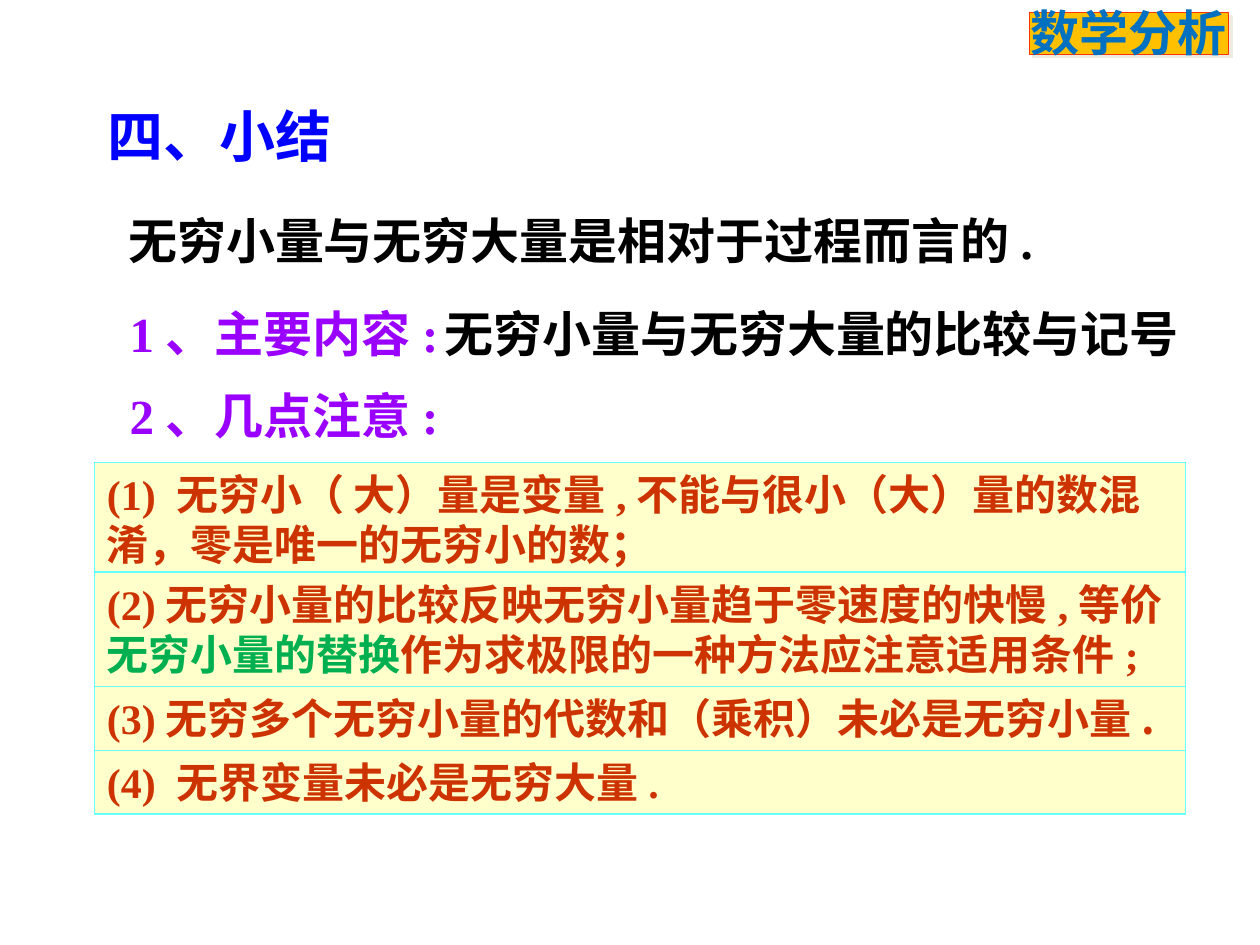
from lxml.etree import SubElement
from pptx import Presentation
from pptx.dml.color import RGBColor
from pptx.enum.shapes import MSO_SHAPE as Shape
from pptx.enum.text import MSO_ANCHOR as Anchor, PP_ALIGN as Align
from pptx.oxml.ns import qn
from pptx.util import Pt

SERIF = "Times New Roman"
CHINESE = "Noto Sans CJK SC"
PURPLE, BLACK, RUST, GREEN = "9900FF", "000000", "CC3300", "00B050"


def color(hex_string):
    return RGBColor.from_string(hex_string)


def write(shape, text, size=28, fill=BLACK, font=SERIF, anchor=Anchor.TOP):
    """Fill a shape with one paragraph; text is a string or (text, format) runs."""
    frame = shape.text_frame
    frame.word_wrap = True
    frame.vertical_anchor = anchor
    frame.margin_left = frame.margin_right = Pt(7.2)
    frame.margin_top = frame.margin_bottom = Pt(3.6)
    paragraph = frame.paragraphs[0]
    paragraph.alignment = Align.LEFT
    for words, changes in [(text, {})] if isinstance(text, str) else text:
        run = paragraph.add_run()
        run.text = words
        run.font.size = Pt(size)
        run.font.bold = True
        run.font.name = changes.get("font", font)
        run.font.color.rgb = color(changes.get("fill", fill))
        SubElement(run.font._element, qn("a:ea"), typeface=CHINESE)


presentation = Presentation()
presentation.slide_width, presentation.slide_height = Pt(720), Pt(540)
slide = presentation.slides.add_slide(presentation.slide_layouts[5])
shapes = slide.shapes

# Course badge with a hard offset shadow
badge = shapes.add_shape(Shape.RECTANGLE, Pt(588.2), Pt(7.2), Pt(113.8), Pt(23.8))
badge.fill.solid()
badge.fill.fore_color.rgb = color("FFC000")
badge.line.color.rgb = color("FF3300")
badge.line.width = Pt(0.75)
badge.shadow.inherit = False
effects = badge._element.spPr.find(qn("a:effectLst"))
shadow = SubElement(effects, qn("a:outerShdw"), dist=str(Pt(2.8)), dir="2700000",
                    algn="ctr", rotWithShape="0")
SubElement(shadow, qn("a:srgbClr"), val="EEECE1")
badge_label = shapes.add_textbox(Pt(581.8), Pt(-2.2), Pt(144), Pt(41))
write(badge_label, "数学分析", fill="0070C0", font="Calibri")

# Title
title = shapes.title
title.left, title.top, title.width, title.height = Pt(54), Pt(48.2), Pt(272), Pt(57.6)
title.fill.solid()
title.fill.fore_color.rgb = color("FFFFFF")
write(title, "四、小结", size=32, fill="0000FF", font=CHINESE, anchor=Anchor.MIDDLE)

# Introductory lines
for left, top, width, text, fill in [
    (66.2, 116.6, 552, "无穷小量与无穷大量是相对于过程而言的.", BLACK),
    (67, 169.9, 180, "1、主要内容:", PURPLE),
    (247, 169.9, 453.6, "无穷小量与无穷大量的比较与记号", BLACK),
    (67, 216.7, 216, "2、几点注意:", PURPLE),
]:
    line = shapes.add_textbox(Pt(left), Pt(top), Pt(width), Pt(41))
    write(line, text, fill=fill)

# Framed notes; the second overlaps the first, so it is drawn after it
for top, height, text in [
    (264.2, 65.5, "(1) 无穷小（ 大）量是变量,不能与很小（大）量的数混淆，零是唯一的无穷小的数；"),
    (326.9, 65.5, [("(2)无穷小量的比较反映无穷小量趋于零速度的快慢,等价", {}),
                   ("无穷小量的替换", {"fill": GREEN}),
                   ("作为求极限的一种方法应注意适用条件;", {})]),
    (392.4, 36.4, [("(3)", {}),
                   ("无穷多个无穷小量的代数和（乘积）未必是无穷小量.", {"font": CHINESE})]),
    (428.8, 36.4, "(4) 无界变量未必是无穷大量."),
]:
    note = shapes.add_shape(Shape.RECTANGLE, Pt(54), Pt(top), Pt(623.5), Pt(height))
    note.shadow.inherit = False
    note.fill.solid()
    note.fill.fore_color.rgb = color("FFFFCC")
    note.line.color.rgb = color("66FFFF")
    note.line.width = Pt(0.75)
    write(note, text, size=24, fill=RUST)

presentation.save("out.pptx")
